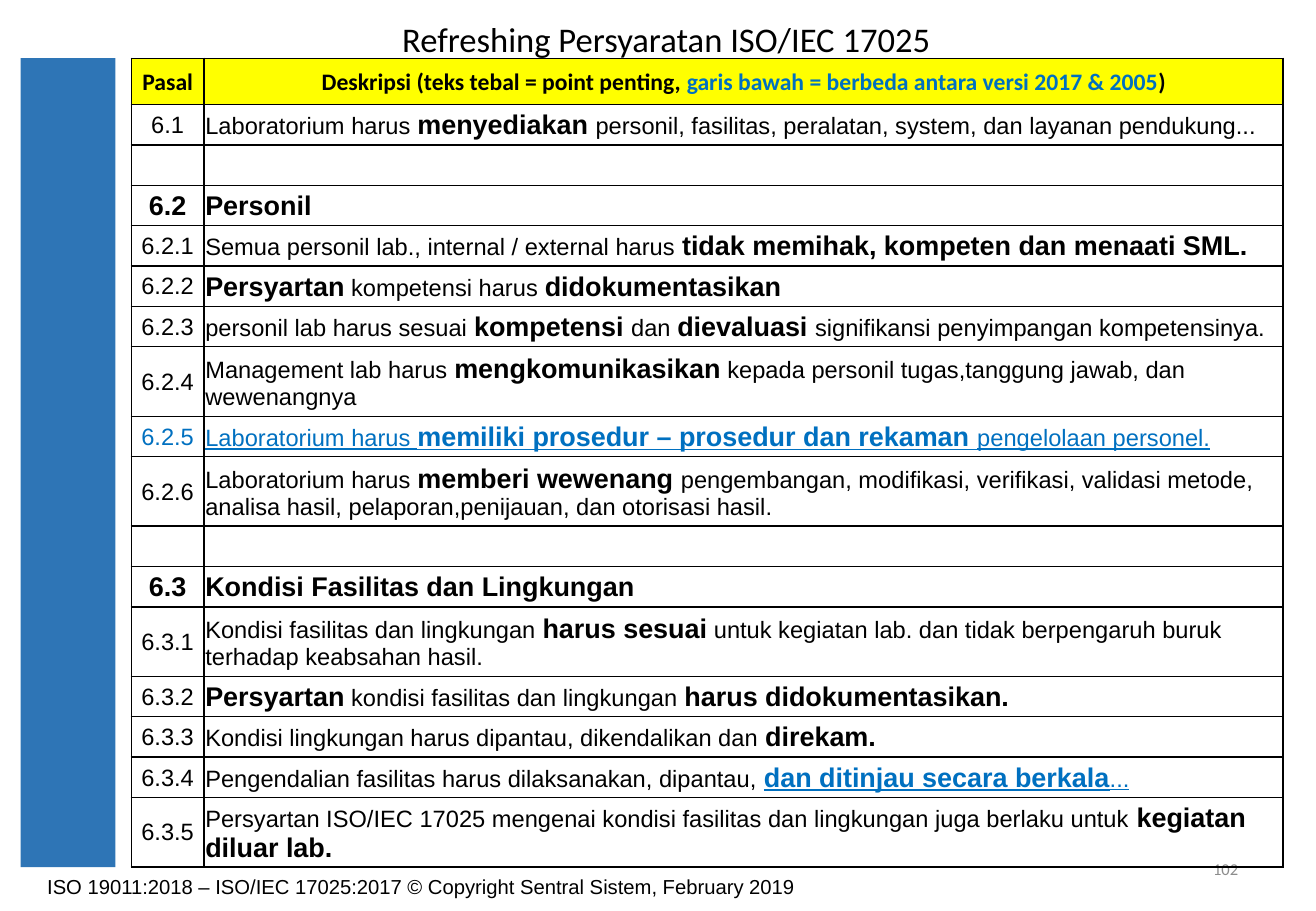
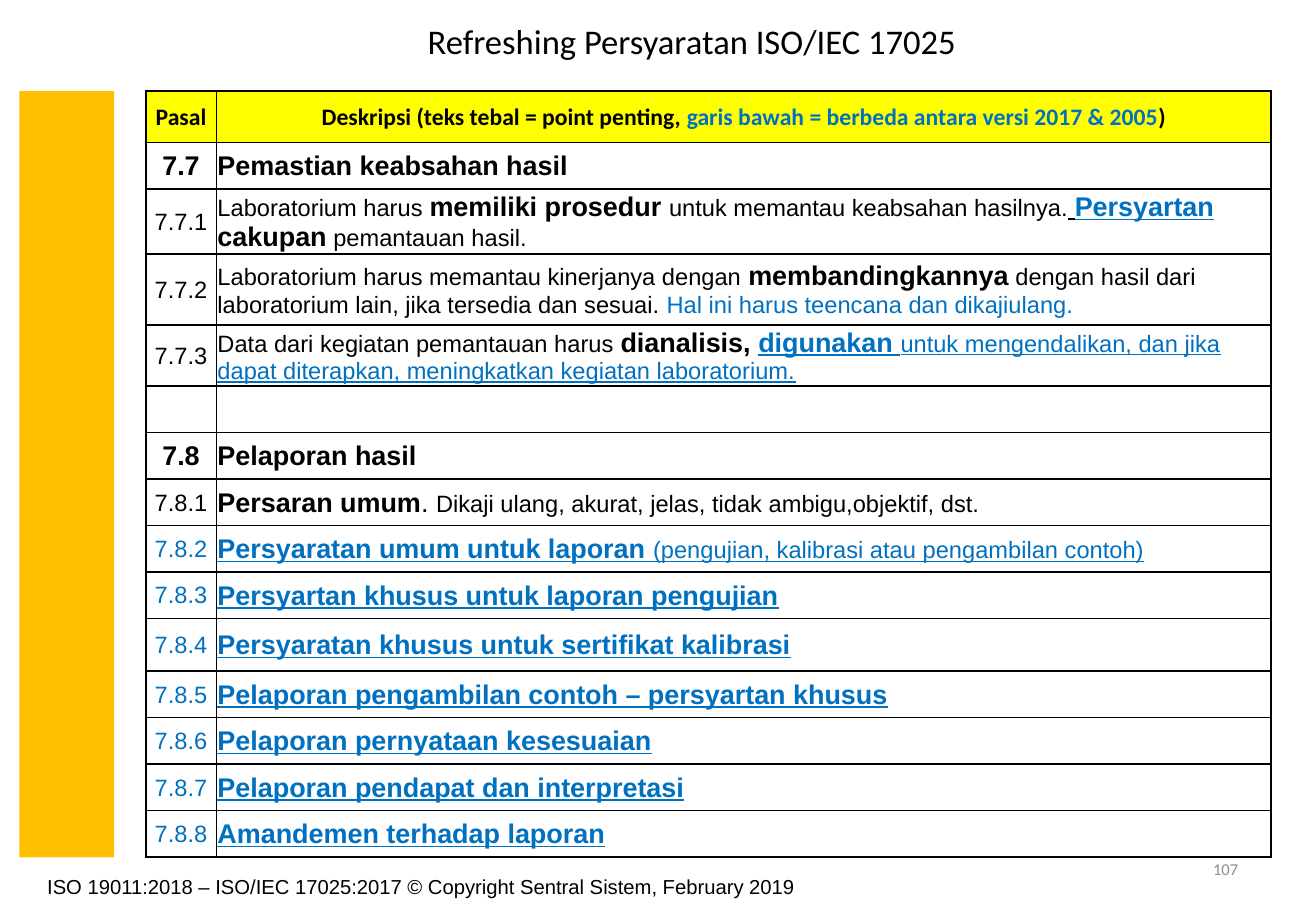
from dataclasses import dataclass

from lxml import etree
from pptx import Presentation
from pptx.dml.color import RGBColor
from pptx.enum.shapes import MSO_SHAPE
from pptx.enum.text import MSO_ANCHOR, MSO_AUTO_SIZE, PP_ALIGN
from pptx.oxml.ns import qn
from pptx.util import Inches, Pt

RECT = MSO_SHAPE.RECTANGLE
MIDDLE, TOP = MSO_ANCHOR.MIDDLE, MSO_ANCHOR.TOP
LEFT, CENTER, RIGHT = PP_ALIGN.LEFT, PP_ALIGN.CENTER, PP_ALIGN.RIGHT
NO_FIT = MSO_AUTO_SIZE.NONE


@dataclass(frozen=True)
class Theme:
    black: str = "000000"
    blue: str = "0070C0"
    grey: str = "8C8C8C"
    yellow: str = "FFFF00"
    band_resources: str = "2E75B6"
    band_process: str = "FFC000"
    head_font: str = "Calibri"
    body_font: str = "Arial"
    title: float = 20.5
    strong: float = 16
    body: float = 14
    footer: float = 12
    number: float = 9.8
    border: float = 1


T = Theme()

PLAIN, LARGE, BOLD, BLUE = "", "l", "b", "c"
UNDER, BOLD_UNDER = "u", "bu"
NEW, NEW_BOLD = "cu", "bcu"

TITLE = "Refreshing Persyaratan ISO/IEC 17025"
FOOTER = "ISO 19011:2018 – ISO/IEC 17025:2017 © Copyright Sentral Sistem, February 2019"
HEADER = [
    ("Deskripsi (teks tebal = point penting, ", PLAIN),
    ("garis bawah = berbeda antara versi 2017 & 2005", BLUE),
    (")", PLAIN),
]

RESOURCES = [
    ("6.1", 0.33, [("Laboratorium harus ", PLAIN), ("menyediakan ", BOLD),
                   ("personil, fasilitas, peralatan, system, dan layanan pendukung...", PLAIN)]),
    ("", 0.33, []),
    ("6.2", 0.33, [("Personil", BOLD)]),
    ("6.2.1", 0.33, [("Semua personil lab., internal / external harus ", PLAIN),
                     ("tidak memihak, kompeten dan menaati SML.", BOLD)]),
    ("6.2.2", 0.33, [("Persyartan", BOLD), (" kompetensi harus ", PLAIN),
                     ("didokumentasikan", BOLD)]),
    ("6.2.3", 0.33, [("personil lab harus sesuai ", PLAIN), ("kompetensi ", BOLD),
                     ("dan ", PLAIN), ("dievaluasi ", BOLD),
                     ("signifikansi penyimpangan kompetensinya.", PLAIN)]),
    ("6.2.4", 0.57, [("Management lab harus ", PLAIN), ("mengkomunikasikan", BOLD),
                     (" kepada personil tugas,tanggung jawab, dan wewenangnya", PLAIN)]),
    ("6.2.5", 0.33, [("Laboratorium harus ", NEW),
                     ("memiliki prosedur – prosedur dan rekaman ", NEW_BOLD),
                     ("pengelolaan personel.", NEW)]),
    ("6.2.6", 0.57, [("Laboratorium harus ", PLAIN), ("memberi wewenang ", BOLD),
                     ("pengembangan, modifikasi, verifikasi, validasi metode, analisa hasil, "
                      "pelaporan,penijauan, dan otorisasi hasil.", PLAIN)]),
    ("", 0.33, []),
    ("6.3", 0.33, [("Kondisi Fasilitas dan Lingkungan", BOLD)]),
    ("6.3.1", 0.57, [("Kondisi fasilitas dan lingkungan ", PLAIN), ("harus sesuai", BOLD),
                     (" untuk kegiatan lab. dan tidak berpengaruh buruk terhadap "
                      "keabsahan hasil.", PLAIN)]),
    ("6.3.2", 0.33, [("Persyartan", BOLD), (" kondisi fasilitas dan lingkungan ", PLAIN),
                     ("harus didokumentasikan.", BOLD)]),
    ("6.3.3", 0.33, [("Kondisi lingkungan harus dipantau, dikendalikan dan ", PLAIN),
                     ("direkam.", BOLD)]),
    ("6.3.4", 0.33, [("Pengendalian fasilitas harus dilaksanakan, dipantau, ", PLAIN),
                     ("dan ditinjau secara berkala", NEW_BOLD), ("...", NEW)]),
    ("6.3.5", 0.57, [("Persyartan ISO/IEC 17025 mengenai kondisi fasilitas dan lingkungan "
                      "juga berlaku untuk ", PLAIN), ("kegiatan diluar lab.", BOLD)]),
]

PROCESS = [
    ("7.7", 0.38, [("Pemastian keabsahan hasil", BOLD)]),
    ("7.7.1", 0.53, [("Laboratorium harus ", PLAIN), ("memiliki prosedur ", BOLD),
                     ("untuk memantau keabsahan hasilnya.", PLAIN), (" ", UNDER),
                     ("Persyartan", NEW_BOLD), (" ", BOLD_UNDER), ("cakupan", BOLD),
                     (" pemantauan hasil.", PLAIN)]),
    ("7.7.2", 0.58, [("Laboratorium harus memantau kinerjanya dengan ", PLAIN),
                     ("membandingkannya", BOLD),
                     (" dengan hasil dari laboratorium lain, jika tersedia dan sesuai. ", PLAIN),
                     ("Hal ini harus teencana dan dikajiulang.", BLUE)]),
    ("7.7.3", 0.5, [("Data dari kegiatan pemantauan harus ", PLAIN), ("dianalisis, ", BOLD),
                    ("digunakan ", NEW_BOLD),
                    ("untuk mengendalikan, dan jika dapat diterapkan, meningkatkan "
                     "kegiatan laboratorium.", NEW)]),
    ("", 0.38, []),
    ("7.8", 0.38, [("Pelaporan hasil", BOLD)]),
    ("7.8.1", 0.38, [("Persaran umum", BOLD), (". ", LARGE),
                     ("Dikaji ulang, akurat, jelas, tidak ambigu,objektif, dst.", PLAIN)]),
    ("7.8.2", 0.38, [("Persyaratan umum untuk laporan ", NEW_BOLD),
                     ("(pengujian, kalibrasi atau pengambilan contoh)", NEW)]),
    ("7.8.3", 0.38, [("Persyartan khusus untuk laporan pengujian", NEW_BOLD)]),
    ("7.8.4", 0.43, [("Persyaratan khusus untuk sertifikat kalibrasi", NEW_BOLD)]),
    ("7.8.5", 0.38, [("Pelaporan pengambilan contoh – persyartan khusus", NEW_BOLD)]),
    ("7.8.6", 0.38, [("Pelaporan pernyataan kesesuaian", NEW_BOLD)]),
    ("7.8.7", 0.38, [("Pelaporan pendapat dan interpretasi", NEW_BOLD)]),
    ("7.8.8", 0.38, [("Amandemen terhadap laporan", NEW_BOLD)]),
]


def rgb(color):
    return RGBColor.from_string(color)


def set_font(font, name, size, color):
    font.name = name
    font.size = Pt(size)
    font.color.rgb = rgb(color)


def inches(box):
    return [Inches(v) for v in box]


def fill_text(sp, text, font, size, color, align, anchor):
    tf = sp.text_frame
    tf.word_wrap = True
    tf.auto_size = NO_FIT
    tf.vertical_anchor = anchor
    p = tf.paragraphs[0]
    p.text = text
    p.alignment = align
    set_font(p.font, font, size, color)
    return p


def add_title(slide, box):
    sp = slide.shapes.title
    sp.left, sp.top, sp.width, sp.height = inches(box)
    p = fill_text(sp, TITLE, T.head_font, T.title, T.black, LEFT, MIDDLE)
    p.line_spacing = 0.9


def add_footer(slide, number):
    sp = slide.shapes.add_textbox(*inches((0.29, 7.15, 6.5, 0.4)))
    fill_text(sp, FOOTER, T.body_font, T.footer, T.black, LEFT, TOP)
    sp = slide.shapes.add_textbox(*inches((7.76, 6.95, 2.53, 0.4)))
    fill_text(sp, number, T.head_font, T.number, T.grey, RIGHT, MIDDLE)


def add_band(slide, box, color):
    sp = slide.shapes.add_shape(RECT, *inches(box))
    sp.shadow.inherit = False
    sp.fill.solid()
    sp.fill.fore_color.rgb = rgb(color)
    sp.line.fill.background()


def set_borders(cell):
    tc_pr = cell._tc.get_or_add_tcPr()
    for i, side in enumerate(("lnL", "lnR", "lnT", "lnB")):
        ln = etree.Element(qn("a:" + side), w=str(Pt(T.border)))
        fill = etree.SubElement(ln, qn("a:solidFill"))
        etree.SubElement(fill, qn("a:srgbClr"), val=T.black)
        tc_pr.insert(i, ln)


def fill_cell(cell, runs, align, header):
    cell.vertical_anchor = MIDDLE
    cell.margin_left = cell.margin_right = cell.margin_top = Inches(0.01)
    cell.margin_bottom = 0
    if header:
        cell.fill.solid()
        cell.fill.fore_color.rgb = rgb(T.yellow)
    else:
        cell.fill.background()
    set_borders(cell)
    p = cell.text_frame.paragraphs[0]
    p.alignment = align
    for text, style in runs:
        r = p.add_run()
        r.text = text
        large = BOLD in style or LARGE in style
        set_font(r.font, T.head_font if header else T.body_font,
                 T.strong if large else T.body,
                 T.blue if BLUE in style else T.black)
        r.font.bold = header or BOLD in style
        r.font.underline = UNDER in style


def clause_style(runs):
    styles = [style for _, style in runs]
    if styles == [BOLD]:
        return BOLD
    return BLUE if all(BLUE in style for style in styles) else PLAIN


def add_clauses(slide, box, clause_width, header_height, clauses):
    rows = [("Pasal", header_height, HEADER)] + clauses
    table = slide.shapes.add_table(len(rows), 2, *inches(box)).table
    table.first_row = table.horz_banding = False
    table.columns[0].width = Inches(clause_width)
    table.columns[1].width = Inches(box[2] - clause_width)
    scale = box[3] / sum(height for _, height, _ in rows)
    for i, (clause, height, runs) in enumerate(rows):
        header = i == 0
        table.rows[i].height = Inches(height * scale)
        label = [(clause, clause_style(runs))] if clause else []
        fill_cell(table.cell(i, 0), label, CENTER, header)
        fill_cell(table.cell(i, 1), runs, CENTER if header else LEFT, header)


def add_clause_slide(prs, number, title_box, band_left, band_color,
                     table_box, clause_width, header_height, clauses):
    slide = prs.slides.add_slide(prs.slide_layouts[5])
    _, top, _, height = table_box
    add_title(slide, title_box)
    add_footer(slide, number)
    add_band(slide, (band_left, top, 0.78, height), band_color)
    add_clauses(slide, table_box, clause_width, header_height, clauses)


def main():
    prs = Presentation()
    prs.slide_width, prs.slide_height = Inches(10.83), Inches(7.5)
    add_clause_slide(prs, "102", (3.21, 0.13, 5.23, 0.42), 0.17, T.band_resources,
                     (1.08, 0.48, 9.48, 6.66), 0.6, 0.38, RESOURCES)
    add_clause_slide(prs, "107", (3.42, 0.15, 5.23, 0.42), 0.16, T.band_process,
                     (1.2, 0.75, 9.26, 6.31), 0.58, 0.42, PROCESS)
    prs.save("out.pptx")


if __name__ == "__main__":
    main()
